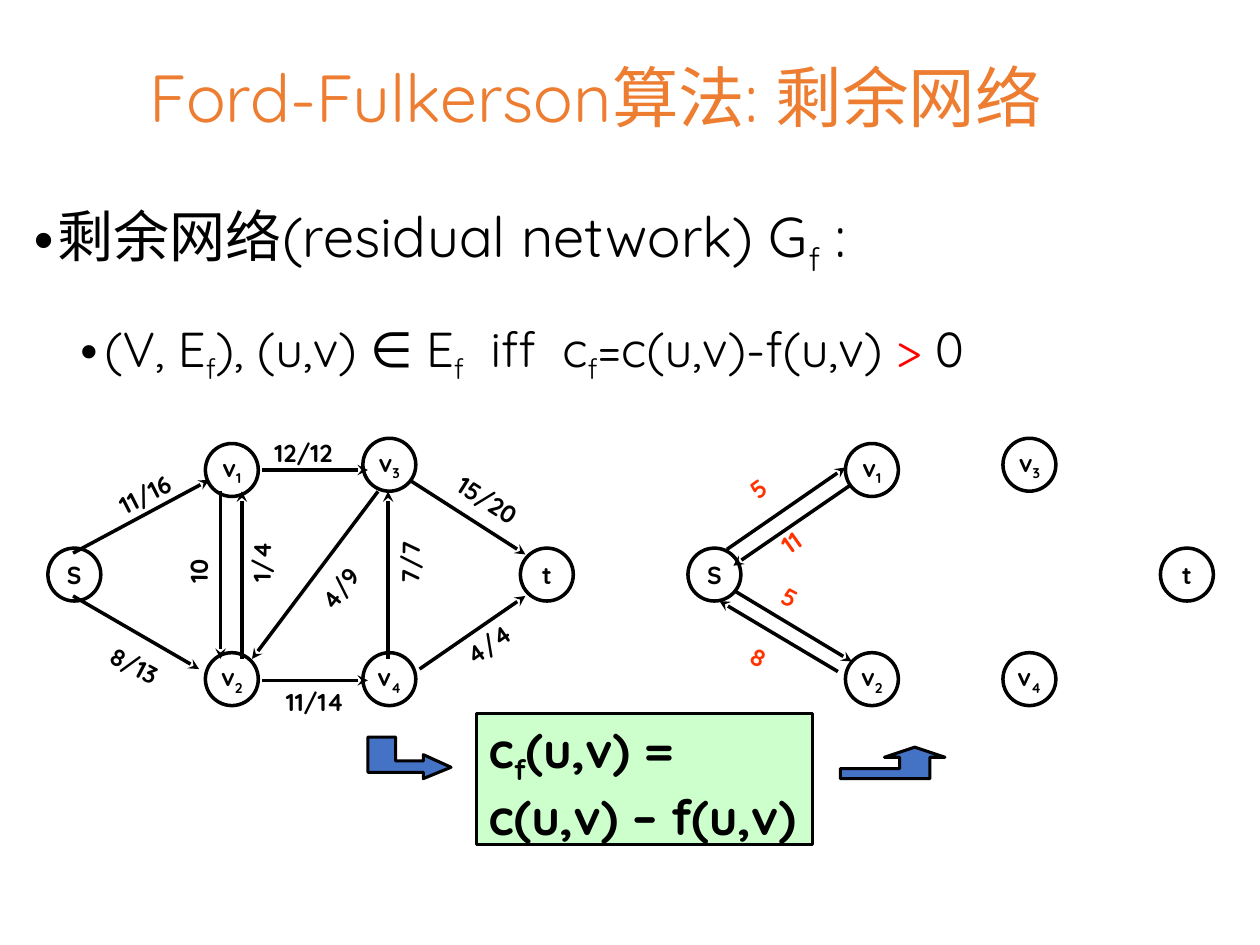
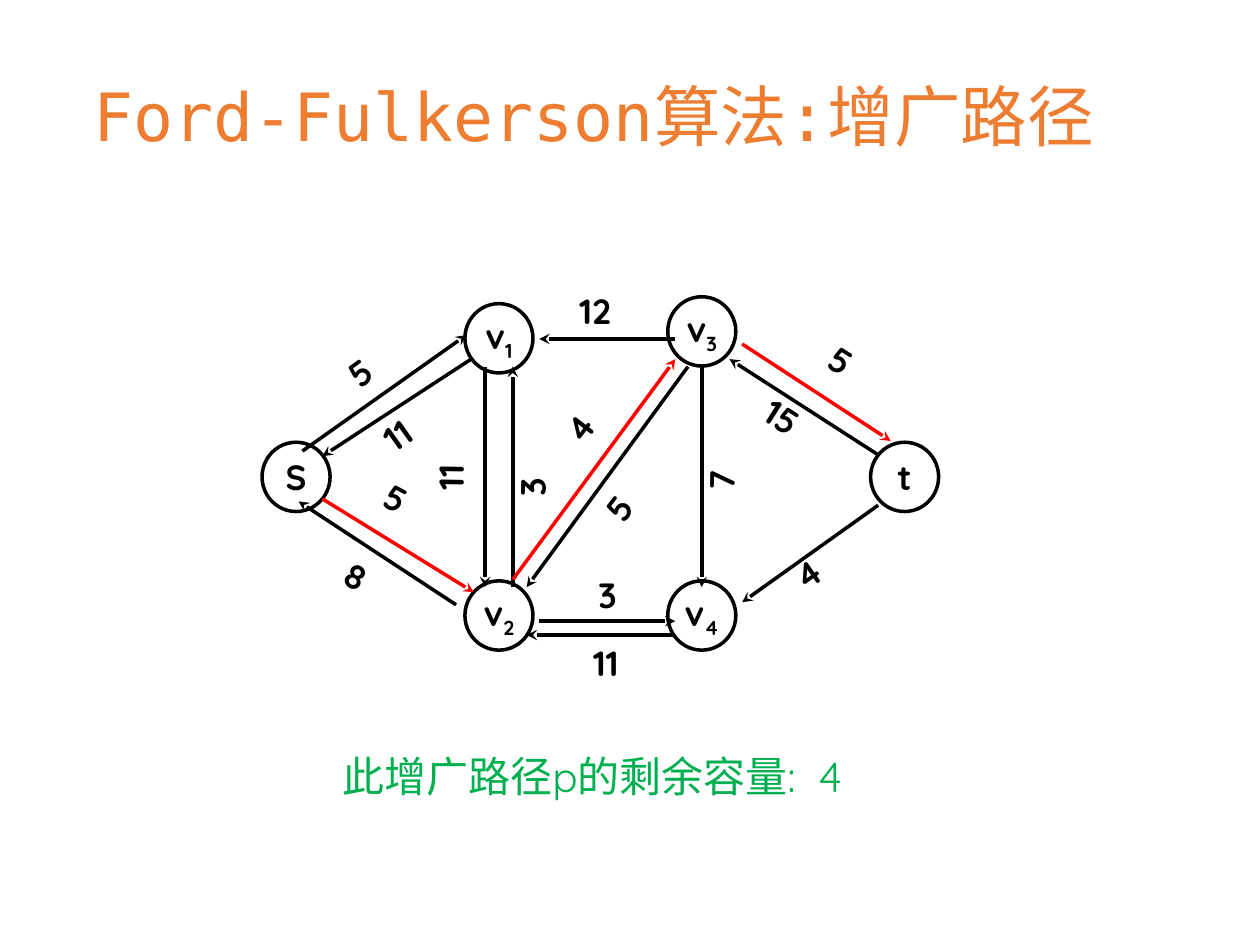
from lxml import etree
from pptx import Presentation, util as u
from pptx.dml.color import RGBColor
from pptx.enum import shapes, text
from pptx.oxml import ns

FONT = "Quicksand"
BLACK, WHITE, RED, SCARLET = "000000", "FFFFFF", "FF0000", "FF3300"
ORANGE, GREEN, MINT, BLUE = "ED7D31", "00B050", "CCFFCC", "4472C4"
TITLE_ONLY = 5

NODE_GRID = {"S": (0, 0), "t": (3, 0), "v_1": (1, -1), "v_2": (1, 1),
             "v_3": (2, -1.05), "v_4": (2, 1)}

FLOW_EDGES = [
    (2.08, 3.73, 2.92, 3.73), (2.08, 5.4, 2.92, 5.4),
    (0.58, 4.39, 1.66, 3.81), (0.58, 4.73, 1.58, 5.31),
    (1.75, 3.9, 1.75, 5.23), (1.92, 5.23, 1.92, 3.9),
    (3.08, 5.23, 3.08, 3.9), (3, 3.9, 2, 5.23),
    (3.25, 3.81, 4.17, 4.4), (3.33, 5.31, 4.17, 4.73),
]
FLOW_LABELS = [
    ("10", 1.2, 4.19, 270.9), ("8/13", 0.76, 5.15, 27.9),
    ("12/12", 2.08, 3.43, 0), ("11/16", 0.83, 3.73, 333.1),
    ("1/4", 1.7, 4.18, 270.9), ("4/4", 3.57, 4.9, 324.7),
    ("11/14", 2.17, 5.4, 0), ("15/20", 3.51, 3.81, 32.6),
    ("7/7", 2.88, 4.19, 270.9), ("4/9", 2.38, 4.43, 307.4),
]
RESIDUAL_EDGES = [
    (5.77, 4.36, 6.71, 3.71), (6.75, 3.85, 5.82, 4.49),
    (6.65, 5.33, 5.71, 4.77), (5.83, 4.69, 6.76, 5.25),
]
RESIDUAL_LABELS = [
    ("5", 5.82, 3.58, 324.2), ("11", 6.07, 4.02, 324.7),
    ("8", 5.84, 5.15, 27.9), ("5", 6.09, 4.68, 27.9),
]
UP_ARROW = [(7.26, 5.93), (7.02, 6.01), (7.14, 6.01), (7.14, 6.1), (6.67, 6.1),
            (6.67, 6.18), (7.38, 6.18), (7.38, 6.01), (7.5, 6.01)]
RIGHT_ARROW = [(3.58, 6.09), (3.36, 5.99), (3.36, 6.04), (3.14, 6.04), (3.14, 5.85),
               (2.92, 5.85), (2.92, 6.13), (3.36, 6.13), (3.36, 6.18)]

AUGMENT_EDGES = [
    (5.36, 2.69, 4.28, 2.69), (4.28, 4.93, 5.36, 4.93),
    (2.4, 3.58, 3.7, 2.66), (3.62, 4.8, 2.37, 3.98),
    (3.85, 2.91, 3.85, 4.66), (4.07, 4.66, 4.07, 2.91),
    (5.57, 2.91, 5.57, 4.66), (5.46, 2.91, 4.18, 4.66),
    (6.97, 4.01, 5.89, 4.78), (3.74, 2.85, 2.56, 3.62),
    (5.36, 5.04, 4.18, 5.04), (6.97, 3.61, 5.79, 2.85),
]
AUGMENTING_PATH = [
    (2.56, 3.96, 3.76, 4.7), (4.07, 4.6, 5.36, 2.85), (5.89, 2.73, 7.07, 3.5),
]
AUGMENT_LABELS = [
    ("11", 3.09, 3.29, 270.9), ("8", 2.61, 4.5, 27.9), ("12", 4.5, 2.25, 0),
    ("5", 2.62, 2.56, 324.2), ("3", 3.74, 3.34, 270.9), ("4", 6.16, 4.17, 324.7),
    ("3", 4.65, 4.5, 0), ("5", 6.45, 2.81, 32.6), ("7", 5.24, 3.29, 270.9),
    ("5", 4.61, 3.57, 307.4), ("11", 2.9, 3.07, 324.7), ("5", 2.93, 3.88, 27.9),
    ("11", 4.61, 5.04, 0), ("15", 5.94, 3.23, 32.6), ("4", 4.29, 2.95, 307.4),
]


def colour(value):
    return RGBColor.from_string(value)


def inches(*values):
    return [u.Inches(value) for value in values]


def add_xml(parent, tag, **attributes):
    return etree.SubElement(parent, ns.qn(tag), attributes)


def style_span(span, size, ink=BLACK, bold=False, font=FONT):
    span.font.size = u.Pt(size)
    span.font.name = font
    span.font.bold = bold
    span.font.color.rgb = colour(ink)


def write(para, markup, size, ink=BLACK, bold=False):
    first, *rest = markup.split("_")
    pieces = [(first, False)]
    for part in rest:
        pieces += [(part[0], True), (part[1:], False)]
    for words, lowered in pieces:
        if words:
            span = para.add_run()
            span.text = words
            style_span(span, size, ink, bold)
            if lowered:
                span._r.get_or_add_rPr().set("baseline", "-25000")


def add_title(page, words, left, top, font=FONT):
    title = page.shapes.title
    title.left, title.top, title.width, title.height = inches(left, top, 9.42, 0.76)
    frame = title.text_frame
    frame.text = words
    frame.auto_size = text.MSO_AUTO_SIZE.NONE
    frame.vertical_anchor = text.MSO_ANCHOR.MIDDLE
    para = frame.paragraphs[0]
    para.alignment = text.PP_ALIGN.CENTER
    para.line_spacing = 1.1
    style_span(para.runs[0], 38, ORANGE, font=font)


def add_text(page, left, top, width, height, grow=True):
    box = page.shapes.add_textbox(*inches(left, top, width, height))
    box.text_frame.word_wrap = True
    if grow:
        box.text_frame.auto_size = text.MSO_AUTO_SIZE.SHAPE_TO_FIT_TEXT
    return box


def add_bullet(para, margin):
    para.line_spacing = 1.5
    props = para._p.get_or_add_pPr()
    props.set("marL", str(u.Inches(margin)))
    props.set("indent", str(u.Inches(-0.19)))
    add_xml(props, "a:buFont", typeface="Arial")
    add_xml(props, "a:buChar", char="•")


def paint(shape, fill, weight):
    shape.shadow.inherit = False
    shape.fill.solid()
    shape.fill.fore_color.rgb = colour(fill)
    shape.line.color.rgb = colour(BLACK)
    shape.line.width = u.Pt(weight)


def add_nodes(page, left, top, width, height, column, row, size):
    for name, (across, down) in NODE_GRID.items():
        node = page.shapes.add_shape(
            shapes.MSO_SHAPE.OVAL,
            *inches(left + across * column, top + down * row, width, height))
        paint(node, WHITE, 2)
        frame = node.text_frame
        frame.word_wrap = False
        frame.vertical_anchor = text.MSO_ANCHOR.MIDDLE
        frame.paragraphs[0].alignment = text.PP_ALIGN.CENTER
        write(frame.paragraphs[0], name, size, bold=True)


def add_edges(page, edges, ink=BLACK):
    for ends in edges:
        edge = page.shapes.add_connector(shapes.MSO_CONNECTOR.STRAIGHT, *inches(*ends))
        edge.line.color.rgb = colour(ink)
        edge.line.width = u.Pt(2)
        add_xml(edge.line._get_or_add_ln(), "a:tailEnd", type="stealth")
        add_xml(edge._element.spPr, "a:effectLst")


def add_labels(page, labels, width, height, size, ink=BLACK):
    for words, left, top, angle in labels:
        box = add_text(page, left, top, width, height)
        box.rotation = angle
        write(box.text_frame.paragraphs[0], words, size, ink, bold=True)


def add_block_arrow(page, points):
    start, *rest = [tuple(inches(*point)) for point in points]
    outline = page.shapes.build_freeform(*start)
    outline.add_line_segments(rest, close=True)
    paint(outline.convert_to_shape(), BLUE, 1.75)


def add_definition(page):
    frame = add_text(page, 0.17, 1.25, 9.83, 1.83, grow=False).text_frame
    para = frame.paragraphs[0]
    add_bullet(para, 0.19)
    write(para, "剩余网络(residual network) G_f :", 32)
    para = frame.add_paragraph()
    para.level = 1
    para.space_before = u.Pt(3.8)
    add_bullet(para, 0.56)
    write(para, "(V, E_f), (u,v) ∈ E_f  iff  c_f=c(u,v)-f(u,v) ", 28)
    write(para, ">", 28, RED)
    write(para, " 0", 28)


def add_formula(page):
    box = page.shapes.add_shape(shapes.MSO_SHAPE.RECTANGLE, *inches(3.78, 5.66, 2.67, 1.04))
    paint(box, MINT, 1.75)
    frame = box.text_frame
    frame.word_wrap = True
    frame.vertical_anchor = text.MSO_ANCHOR.TOP
    para = frame.paragraphs[0]
    para.alignment = text.PP_ALIGN.LEFT
    write(para, "c_f(u,v) = c(u,v) – f(u,v)", 28, bold=True)


def build_residual_page(page):
    add_title(page, "Ford-Fulkerson算法: 剩余网络", 0.02, 0.35)
    add_definition(page)
    for left, edges, labels, ink in (
        (0.38, FLOW_EDGES, FLOW_LABELS, BLACK),
        (5.46, RESIDUAL_EDGES, RESIDUAL_LABELS, SCARLET),
    ):
        add_nodes(page, left, 4.35, 0.42, 0.42, 1.25, 0.83, 14)
        add_edges(page, edges)
        add_labels(page, labels, 0.75, 0.33, 14, ink)
    add_formula(page)
    add_block_arrow(page, UP_ARROW)
    add_block_arrow(page, RIGHT_ARROW)


def build_augmenting_page(page):
    add_title(page, "Ford-Fulkerson算法:增广路径", 0, 0.5, "DejaVu Sans Mono")
    add_nodes(page, 2.08, 3.51, 0.54, 0.55, 1.61, 1.1, 20)
    add_edges(page, AUGMENT_EDGES)
    add_edges(page, AUGMENTING_PATH, RED)
    add_labels(page, AUGMENT_LABELS, 0.97, 0.43, 20)
    para = add_text(page, 2.62, 5.71, 5, 0.63).text_frame.paragraphs[0]
    para.line_spacing = 1.5
    write(para, "此增广路径p的剩余容量:  4", 24, GREEN)


def main():
    deck = Presentation()
    deck.slide_width, deck.slide_height = inches(10, 7.5)
    for build in (build_residual_page, build_augmenting_page):
        build(deck.slides.add_slide(deck.slide_layouts[TITLE_ONLY]))
    deck.save("out.pptx")


if __name__ == "__main__":
    main()
